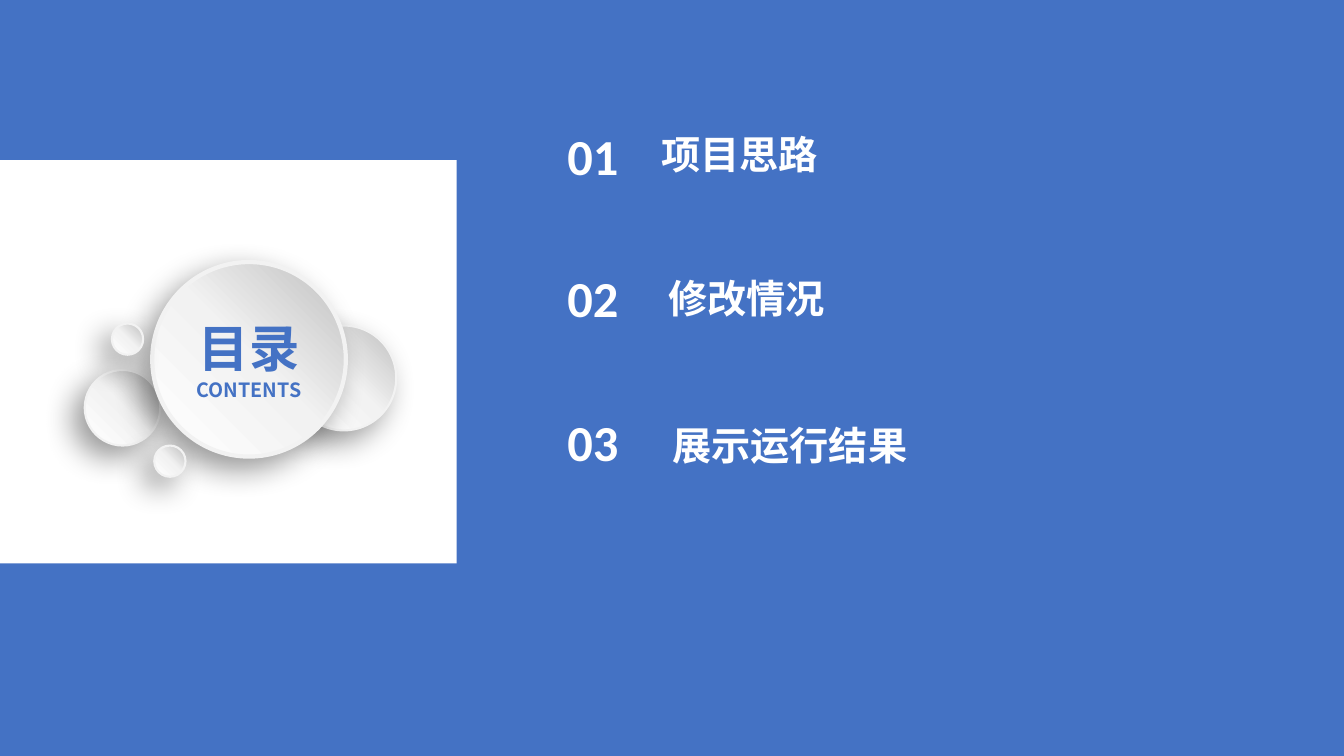
"""Build a contents slide with a bubble title and three numbered topics."""
from lxml.etree import SubElement as Sub
from pptx import Presentation
from pptx.dml.color import RGBColor
from pptx.enum.shapes import MSO_SHAPE as Kind
from pptx.enum.text import MSO_ANCHOR as Anchor, MSO_AUTO_SIZE as Auto, PP_ALIGN as Align
from pptx.oxml.ns import qn
from pptx.util import Pt

PX = 9144
BLUE, WHITE, PALE = "4472C4", "FFFFFF", "F2F2F2"
HAN, LATIN = "Noto Sans CJK SC", "Calibri"
SIZE = (1333, 750)
PANEL = (0, 159, 453, 400)
STOPS = [(0, WHITE), (51, PALE), (100, "BFBFBF")]
TITLE = [("目录", 36), ("CONTENTS", 14)]
BUBBLES = [
    ((84, 367, 75, 75), 1.5, []),
    ((289, 323, 104, 104), 1.5, []),
    ((151, 260, 192, 193), 3, TITLE),
    ((111, 321, 31, 31), 1.5, []),
    ((153, 442, 31, 31), 1.5, []),
]
TOPICS = [
    ("项目思路", 119, (646, 124, 179, 57)),
    ("修改情况", 260, (653, 267, 177, 57)),
    ("展示运行结果", 403, (657, 413, 259, 57)),
]


def emu(box):
    return [n * PX for n in box]


def rgb(code):
    return RGBColor.from_string(code)


def write(para, text, size, font=HAN, color=WHITE):
    run = para.add_run()
    run.text = text
    run.font.size, run.font.bold, run.font.name = Pt(size), True, font
    run.font.color.rgb = rgb(color)
    if font == HAN:
        Sub(run.font._element, qn("a:ea"), typeface=font)


def label(slide, box, text, size, font=HAN, wrap=False):
    frame = slide.shapes.add_textbox(*emu(box)).text_frame
    frame.word_wrap, frame.auto_size = wrap, Auto.SHAPE_TO_FIT_TEXT
    write(frame.paragraphs[0], text, size, font)


def block(slide, box, color):
    shape = slide.shapes.add_shape(Kind.RECTANGLE, *emu(box))
    shape.shadow.inherit = False
    shape.fill.solid()
    shape.fill.fore_color.rgb = rgb(color)
    shape.line.fill.background()


def tint(parent, color):
    return Sub(parent, qn("a:srgbClr"), val=color)


def shade(shape):
    shape.fill.gradient()
    grad = shape._element.spPr.find(qn("a:gradFill"))
    for child in list(grad):
        grad.remove(child)
    stops = Sub(grad, qn("a:gsLst"))
    for pos, color in STOPS:
        tint(Sub(stops, qn("a:gs"), pos=str(pos * 1000)), color)
    Sub(grad, qn("a:lin"), ang=str(315 * 60000), scaled="0")


def drop(shape):
    shape.shadow.inherit = False
    effect = shape._element.spPr.find(qn("a:effectLst"))
    outer = Sub(effect, qn("a:outerShdw"), blurRad=str(Pt(22)), dist=str(Pt(11)),
                dir=str(135 * 60000), algn="tr", rotWithShape="0")
    Sub(tint(outer, "000000"), qn("a:alpha"), val="40000")


def bubble(slide, box, width, runs):
    shape = slide.shapes.add_shape(Kind.OVAL, *emu(box))
    shade(shape)
    shape.line.color.rgb, shape.line.width = rgb(PALE), Pt(width)
    drop(shape)
    frame = shape.text_frame
    frame.word_wrap, frame.vertical_anchor = True, Anchor.MIDDLE
    frame.paragraphs[0].alignment = Align.CENTER
    for text, size in runs:
        write(frame.paragraphs[0], text, size, color=BLUE)


def main():
    deck = Presentation()
    deck.slide_width, deck.slide_height = emu(SIZE)
    slide = deck.slides.add_slide(deck.slide_layouts[6])
    block(slide, (0, 0, *SIZE), BLUE)
    block(slide, PANEL, WHITE)
    for box, width, runs in BUBBLES:
        bubble(slide, box, width, runs)
    for i, (text, top, box) in enumerate(TOPICS, 1):
        label(slide, (553, top, 83, 71), f"{i:02}", 36, LATIN, True)
        label(slide, box, text, 28)
    deck.save("out.pptx")


if __name__ == "__main__":
    main()
